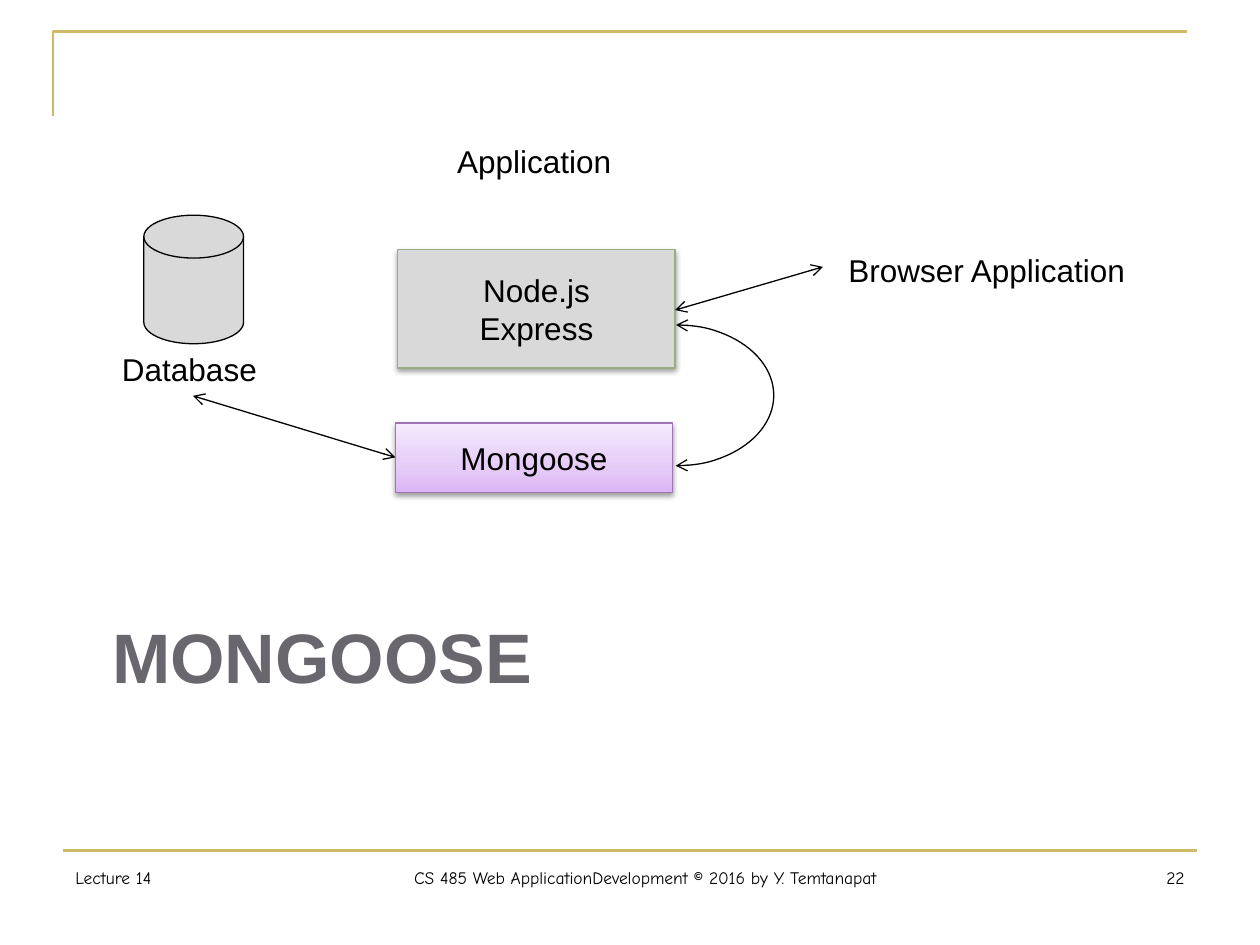
import copy
from dataclasses import dataclass
from typing import Optional

import pptx
import pptx.dml.color
import pptx.enum.shapes
import pptx.enum.text
import pptx.oxml
import pptx.oxml.ns
import pptx.util
from pptx.util import Cm

Shapes = pptx.enum.shapes.MSO_SHAPE
Align = pptx.enum.text.PP_ALIGN
Anchor = pptx.enum.text.MSO_ANCHOR

COLORS = {
    "black": "000000", "white": "FFFFFF", "gold": "CEB966", "title": "69676D",
    "gray": "D9D9D9", "green": "99AD80", "purple": "A075B8",
}
PURPLE_GRADIENT = [(0, "DBB5F6"), (0.35, "E5CBF8"), (1, "F5EAFD")]


@dataclass
class Area:
    left: float
    top: float
    width: float
    height: float

    def lengths(self) -> tuple:
        return Cm(self.left), Cm(self.top), Cm(self.width), Cm(self.height)


@dataclass
class Box:
    area: Area
    text: str = ""
    fill: Optional[str] = "white"
    line: Optional[str] = None
    kind: int = Shapes.RECTANGLE
    raised: bool = False


@dataclass
class Link:
    start: tuple
    end: tuple
    color: str = "black"
    width: float = 0.75
    arrows: bool = True


@dataclass
class Footer:
    area: Area
    text: str
    align: int


BOXES = [
    Box(Area(2.9, 4.34, 2.01, 2.59), fill="gray", line="black",
        kind=Shapes.FLOWCHART_MAGNETIC_DISK),
    Box(Area(7.47, 2.13, 6.6, 2.21), "Application"),
    Box(Area(8.02, 5.03, 5.59, 2.39), "Node.js\nExpress", "gray", "green", raised=True),
    Box(Area(7.97, 8.53, 5.59, 1.4), "Mongoose", None, "purple", raised=True),
    Box(Area(16.59, 4.34, 6.6, 2.21), "Browser Application"),
]
LINKS = [
    Link((1.27, 17.15), (24.13, 17.15), "gold", 1.5, arrows=False),
    Link((7.97, 9.22), (3.89, 7.98)),
    Link((16.59, 5.38), (13.61, 6.25)),
]
FOOTERS = [
    Footer(Area(1.27, 17.35, 4.09, 1.27), "Lecture 14", Align.LEFT),
    Footer(Area(5.36, 17.35, 15.29, 1.27),
           "CS 485 Web ApplicationDevelopment © 2016 by Y. Temtanapat", Align.CENTER),
    Footer(Area(20.65, 17.35, 3.48, 1.27), "22", Align.RIGHT),
]


def rgb(name: str):
    return pptx.dml.color.RGBColor.from_string(COLORS[name])


def write(shape, text: str, *, size=18, font="Arial", color="black", bold=False,
          align=Align.LEFT, anchor=Anchor.TOP, wrap=True) -> None:
    frame = shape.text_frame
    frame.text = text
    frame.word_wrap = wrap
    frame.auto_size = pptx.enum.text.MSO_AUTO_SIZE.NONE
    frame.vertical_anchor = anchor
    for paragraph in frame.paragraphs:
        paragraph.alignment = align
        for run in paragraph.runs:
            run.font.size = pptx.util.Pt(size)
            run.font.name = font
            run.font.bold = bold
            run.font.color.rgb = rgb(color)


def set_line(shape, color: str, width: float = 0.75) -> None:
    shape.line.color.rgb = rgb(color)
    shape.line.width = pptx.util.Pt(width)


def add_arrowheads(shape) -> None:
    line = shape.line._get_or_add_ln()
    for end in ("headEnd", "tailEnd"):
        pptx.oxml.ns.qn("a:" + end)
        line.append(pptx.oxml.parse_xml(
            f'<a:{end} {pptx.oxml.ns.nsdecls("a")} type="arrow"/>'))


def add_effects(shape, effect: str = "") -> None:
    """Append an effect list; an empty one switches the theme shadow off."""
    shape._element.spPr.append(pptx.oxml.parse_xml(
        f'<a:effectLst {pptx.oxml.ns.nsdecls("a")}>{effect}</a:effectLst>'))


def add_drop_shadow(shape) -> None:
    add_effects(shape, '<a:outerShdw blurRad="40000" dist="20000" dir="5400000" rotWithShape="0">'
                       f'<a:srgbClr val="{COLORS["black"]}"><a:alpha val="38000"/></a:srgbClr>'
                       '</a:outerShdw>')


def fill_gradient(shape, stops: list) -> None:
    shape.fill.gradient()
    shape.fill.gradient_angle = 90
    stop_list = shape._element.spPr.find(".//" + pptx.oxml.ns.qn("a:gsLst"))
    while len(stop_list) < len(stops):
        stop_list.append(copy.deepcopy(stop_list[0]))
    for stop, (position, color) in zip(shape.fill.gradient_stops, stops):
        stop.position = position
        stop.color.rgb = pptx.dml.color.RGBColor.from_string(color)


def add_box(slide, box: Box) -> None:
    shape = slide.shapes.add_shape(box.kind, *box.area.lengths())
    if box.fill:
        shape.fill.solid()
        shape.fill.fore_color.rgb = rgb(box.fill)
    else:
        fill_gradient(shape, PURPLE_GRADIENT)
    if box.line:
        set_line(shape, box.line)
    else:
        shape.line.fill.background()
    if box.raised:
        add_drop_shadow(shape)
    else:
        shape.shadow.inherit = False
    if box.text:
        write(shape, box.text, align=Align.CENTER, anchor=Anchor.MIDDLE)


def add_link(slide, link: Link) -> None:
    connector = slide.shapes.add_connector(
        pptx.enum.shapes.MSO_CONNECTOR.STRAIGHT, *map(Cm, link.start + link.end))
    set_line(connector, link.color, link.width)
    if link.arrows:
        add_arrowheads(connector)
    add_effects(connector)


def add_arc(slide, area: Area) -> None:
    arc = slide.shapes.add_shape(Shapes.ARC, *area.lengths())
    arc.adjustments[0] = 162
    arc.adjustments[1] = 54.18
    arc.fill.background()
    set_line(arc, "black")
    add_arrowheads(arc)
    arc.shadow.inherit = False


def add_corner_frame(slide) -> None:
    builder = slide.shapes.build_freeform(Cm(1.07), Cm(2.34))
    builder.add_line_segments([(Cm(1.07), Cm(0.64)), (Cm(23.93), Cm(0.64))], close=False)
    frame = builder.convert_to_shape()
    frame.fill.background()
    set_line(frame, "gold", 1.5)
    frame.shadow.inherit = False


def main() -> None:
    presentation = pptx.Presentation()
    presentation.slide_width, presentation.slide_height = Cm(25.4), Cm(19.05)
    slide = presentation.slides.add_slide(presentation.slide_layouts[5])

    title = slide.shapes.title
    title.left, title.top, title.width, title.height = Area(2.01, 12.24, 21.59, 3.78).lengths()
    write(title, "MONGOOSE", size=40, color="title", bold=True)

    add_corner_frame(slide)
    for footer in FOOTERS:
        write(slide.shapes.add_textbox(*footer.area.lengths()), footer.text,
              size=10, font="Comic Neue", align=footer.align)
    for box in BOXES:
        add_box(slide, box)
    write(slide.shapes.add_textbox(*Area(2.21, 6.93, 3.35, 1.02).lengths()),
          "Database", wrap=False)
    for link in LINKS:
        add_link(slide, link)
    add_arc(slide, Area(11.66, 6.55, 3.94, 2.84))
    presentation.save("out.pptx")


if __name__ == "__main__":
    main()
